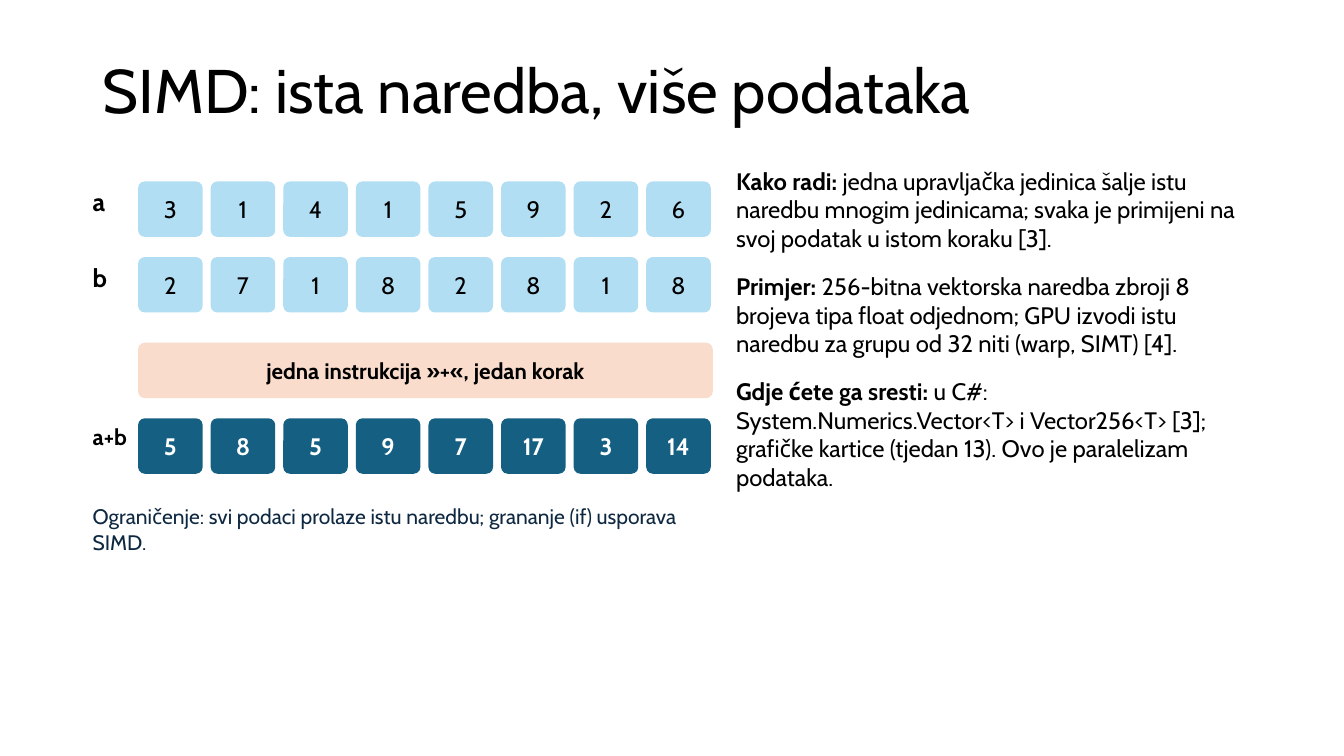
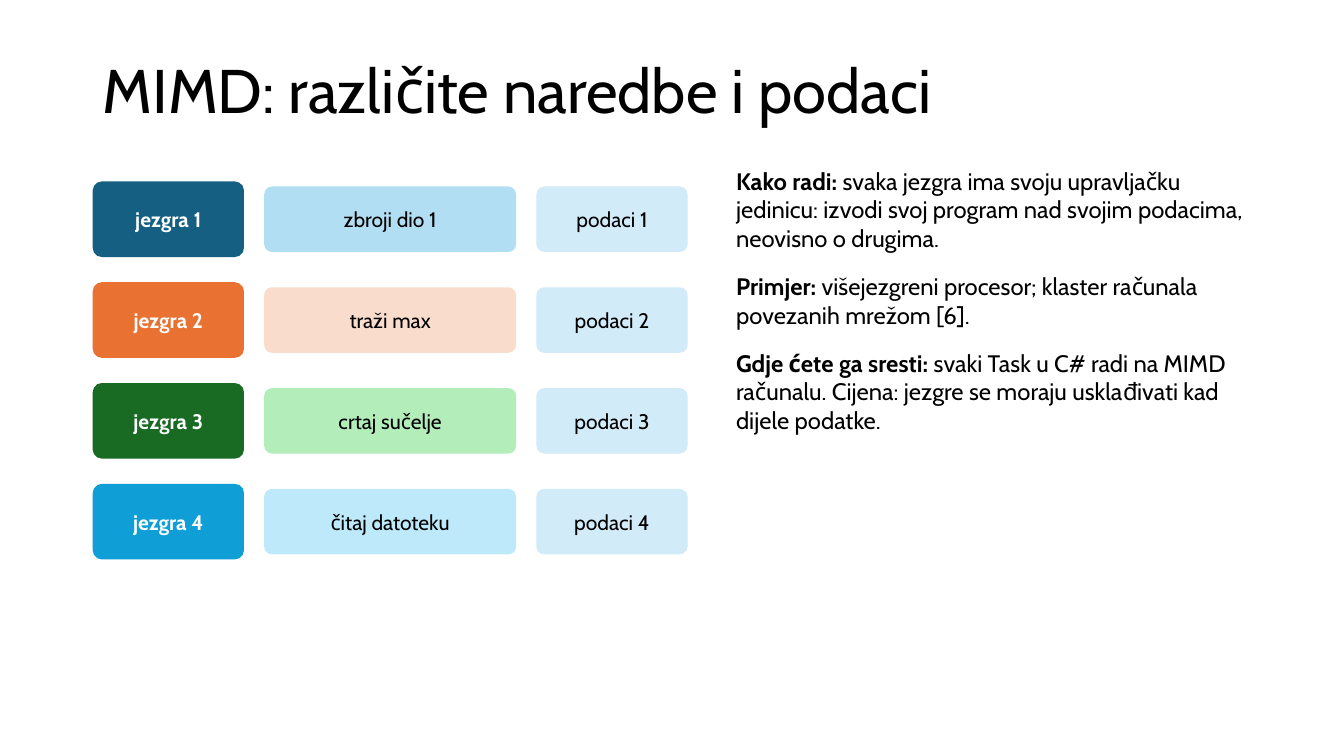
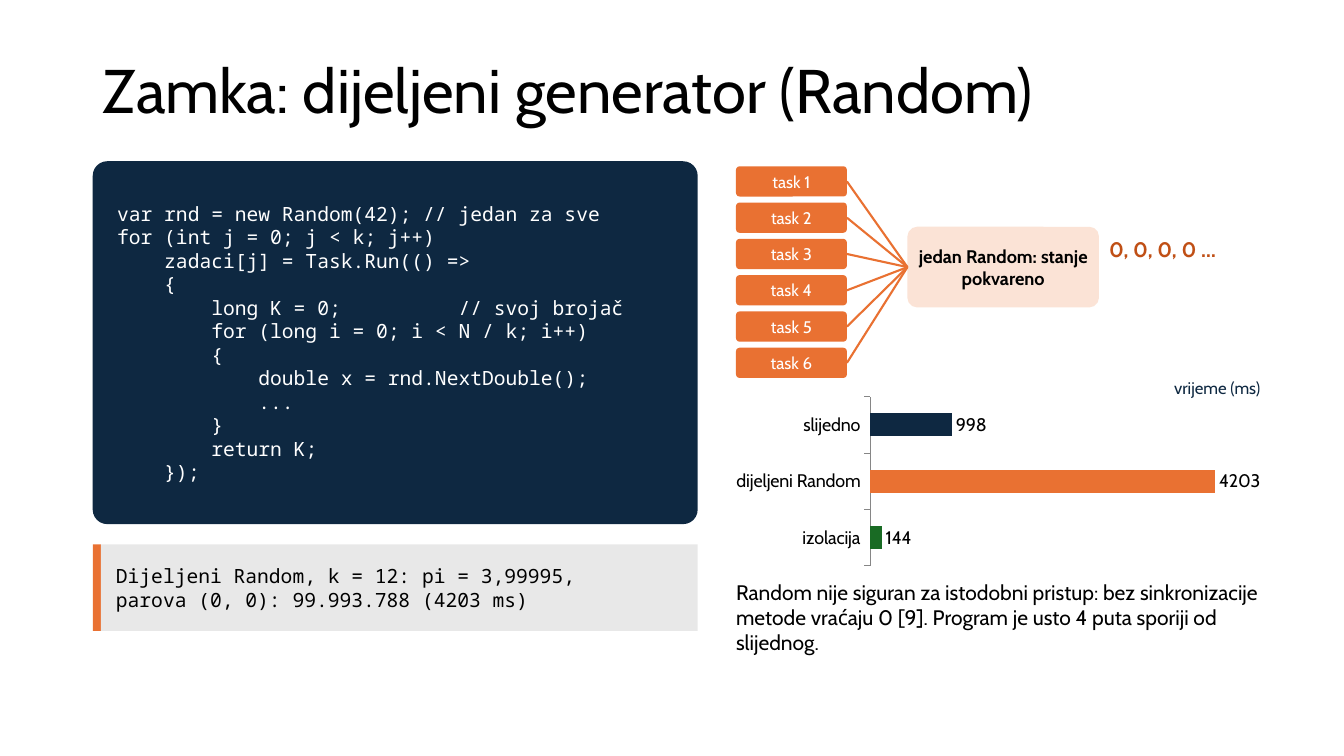
"""Build three lecture slides on SIMD, MIMD and the shared Random trap."""
from dataclasses import dataclass

from lxml import etree
from pptx import Presentation
from pptx.chart.data import CategoryChartData
from pptx.dml.color import RGBColor
from pptx.enum.chart import XL_CHART_TYPE, XL_LABEL_POSITION, XL_TICK_MARK
from pptx.enum.shapes import MSO_CONNECTOR, MSO_SHAPE
from pptx.enum.text import MSO_ANCHOR, MSO_AUTO_SIZE, PP_ALIGN
from pptx.oxml.ns import qn
from pptx.util import Inches, Pt


@dataclass(frozen=True)
class Theme:
    """Colours, fonts and type sizes shared by the slides."""
    text: str = "Cabin"
    mono: str = "Noto Sans Mono"
    black: str = "000000"
    white: str = "FFFFFF"
    navy: str = "0E2841"
    teal: str = "156082"
    orange: str = "E97132"
    rust: str = "C04F15"
    green: str = "196B24"
    blue: str = "0F9ED5"
    pale_teal: str = "B2DEF3"
    pale_orange: str = "F9DCCC"
    pale_green: str = "B2EDBA"
    pale_blue: str = "BDE9FA"
    ice: str = "D1EBF8"
    peach: str = "FBE3D6"
    grey: str = "E8E8E8"
    axis: str = "868686"
    title: int = 44
    label: int = 18
    body: int = 17
    strong: int = 16
    note: int = 15
    code: int = 14
    small: int = 13
    tiny: int = 12


T = Theme()
SLIDE_SIZE = (13.33, 7.5)
LEFT, RIGHT, COLUMN = 0.92, 7.3, 5.2
TITLE_AT = (LEFT, 0.4, 11.5, 1.06)
BODY_AT = (RIGHT, 1.65, COLUMN, 5)
CLOSING_AT = (RIGHT, 5.75, COLUMN, 1.1)
TIGHT = (0.05, 0.02, 0.05, 0.02)
NO_INSET = (0, 0, 0, 0)

SIMD = {
    "title": "SIMD: ista naredba, više podataka",
    "a": [3, 1, 4, 1, 5, 9, 2, 6],
    "b": [2, 7, 1, 8, 2, 8, 1, 8],
    "step": "jedna instrukcija »+«, jedan korak",
    "limit": "Ograničenje: svi podaci prolaze istu naredbu; grananje (if) usporava SIMD.",
    "body": [
        ("Kako radi: ", "jedna upravljačka jedinica šalje istu naredbu mnogim jedinicama; "
         "svaka je primijeni na svoj podatak u istom koraku [3]."),
        ("Primjer: ", "256-bitna vektorska naredba zbroji 8 brojeva tipa float odjednom; "
         "GPU izvodi istu naredbu za grupu od 32 niti (warp, SIMT) [4]."),
        ("Gdje ćete ga sresti: ", "u C#: System.Numerics.Vector<T> i Vector256<T> [3]; "
         "grafičke kartice (tjedan 13). Ovo je paralelizam podataka."),
    ],
}
MIMD = {
    "title": "MIMD: različite naredbe i podaci",
    "cores": [
        ("zbroji dio 1", T.teal, T.pale_teal),
        ("traži max", T.orange, T.pale_orange),
        ("crtaj sučelje", T.green, T.pale_green),
        ("čitaj datoteku", T.blue, T.pale_blue),
    ],
    "body": [
        ("Kako radi: ", "svaka jezgra ima svoju upravljačku jedinicu: izvodi svoj program "
         "nad svojim podacima, neovisno o drugima."),
        ("Primjer: ", "višejezgreni procesor; klaster računala povezanih mrežom [6]."),
        ("Gdje ćete ga sresti: ", "svaki Task u C# radi na MIMD računalu. Cijena: jezgre se "
         "moraju usklađivati kad dijele podatke."),
    ],
}
TRAP = {
    "title": "Zamka: dijeljeni generator (Random)",
    "code": """var rnd = new Random(42); // jedan za sve
for (int j = 0; j < k; j++)
    zadaci[j] = Task.Run(() =>
    {
        long K = 0;          // svoj brojač
        for (long i = 0; i < N / k; i++)
        {
            double x = rnd.NextDouble();
            ...
        }
        return K;
    });""",
    "output": "Dijeljeni Random, k = 12: pi = 3,99995,\nparova (0, 0): 99.993.788 (4203 ms)",
    "tasks": 6,
    "state": "jedan Random: stanje pokvareno",
    "zeros": "0, 0, 0, 0 …",
    "unit": "vrijeme (ms)",
    "times": [("slijedno", 998, T.navy), ("dijeljeni Random", 4203, T.orange),
              ("izolacija", 144, T.green)],
    "body": [("", "Random nije siguran za istodobni pristup: bez sinkronizacije metode "
              "vraćaju 0 [9]. Program je usto 4 puta sporiji od slijednog.")],
}


def assign(target, values):
    """Set each named attribute of the target."""
    for name, value in values.items():
        setattr(target, name, value)


def style(font, size, color=T.black, bold=False, name=T.text):
    """Format a font."""
    assign(font, {"size": Pt(size), "bold": bold, "name": name})
    font.color.rgb = RGBColor.from_string(color)


def place(shape, at):
    """Move and size a shape, in inches."""
    assign(shape, dict(zip(("left", "top", "width", "height"), map(Inches, at))))


def set_frame(frame, insets, anchor):
    """Set wrapping, insets and anchor of a text frame."""
    assign(frame, {"word_wrap": True, "auto_size": MSO_AUTO_SIZE.NONE, "vertical_anchor": anchor})
    sides = ("margin_left", "margin_top", "margin_right", "margin_bottom")
    assign(frame, dict(zip(sides, map(Inches, insets))))


def write(frame, text, align=PP_ALIGN.LEFT, **font):
    """Write each line of text as one paragraph."""
    for number, line in enumerate(text.split("\n")):
        paragraph = frame.add_paragraph() if number else frame.paragraphs[0]
        paragraph.alignment = align
        run = paragraph.add_run()
        run.text = line
        style(run.font, **font)


def add_label(slide, text, at, align=PP_ALIGN.LEFT, **font):
    """Add plain text without insets."""
    label = slide.shapes.add_textbox(*map(Inches, at))
    set_frame(label.text_frame, NO_INSET, MSO_ANCHOR.TOP)
    write(label.text_frame, text, align, **font)


def add_box(slide, text, at, fill, radius=0.12, insets=TIGHT, align=PP_ALIGN.CENTER, **font):
    """Add a filled box, rounded unless the radius is zero."""
    kind = MSO_SHAPE.ROUNDED_RECTANGLE if radius else MSO_SHAPE.RECTANGLE
    box = slide.shapes.add_shape(kind, *map(Inches, at))
    if radius:
        box.adjustments[0] = radius
    box.shadow.inherit = False
    box.fill.solid()
    box.fill.fore_color.rgb = RGBColor.from_string(fill)
    box.line.fill.background()
    if text:
        set_frame(box.text_frame, insets, MSO_ANCHOR.MIDDLE)
        write(box.text_frame, text, align, **font)
    return box


def add_link(slide, source, target):
    """Join the right side of one box to the left side of another."""
    link = slide.shapes.add_connector(MSO_CONNECTOR.STRAIGHT, 0, 0, 0, 0)
    link.begin_connect(source, 3)
    link.end_connect(target, 1)
    link.line.width = Pt(1.5)
    link.line.color.rgb = RGBColor.from_string(T.orange)
    etree.SubElement(link._element.spPr, qn("a:effectLst"))


def start_slide(prs, content, body_at=BODY_AT):
    """Add a slide with its title and right-hand body text."""
    slide = prs.slides.add_slide(prs.slide_layouts[1])
    title, body = slide.placeholders
    place(title, TITLE_AT)
    set_frame(title.text_frame, (0.1, 0.05, 0.1, 0.05), MSO_ANCHOR.MIDDLE)
    write(title.text_frame, content["title"], size=T.title)
    title.text_frame.paragraphs[0].line_spacing = 0.9
    place(body, body_at)
    set_frame(body.text_frame, NO_INSET, MSO_ANCHOR.TOP)
    size = T.body if body_at == BODY_AT else T.note
    for number, (lead, text) in enumerate(content["body"]):
        paragraph = body.text_frame.add_paragraph() if number else body.text_frame.paragraphs[0]
        properties = paragraph._p.get_or_add_pPr()
        for key in ("marL", "indent"):
            properties.set(key, "0")
        etree.SubElement(properties, qn("a:buNone"))
        assign(paragraph, {"space_before": Pt(0), "space_after": Pt(14)})
        for part, bold in ((lead, True), (text, False)):
            if part:
                run = paragraph.add_run()
                run.text = part
                style(run.font, size, bold=bold)
    return slide


def build_simd(prs):
    """Show two vectors added in one step."""
    slide = start_slide(prs, SIMD)
    sums = [a + b for a, b in zip(SIMD["a"], SIMD["b"])]
    first, pitch, height = 1.37, 0.72, 0.55
    rows = [
        ("a", SIMD["a"], 1.8, T.label, T.pale_teal, T.black),
        ("b", SIMD["b"], 2.55, T.label, T.pale_teal, T.black),
        ("a+b", sums, 4.15, T.strong, T.teal, T.white),
    ]
    for name, values, top, size, fill, color in rows:
        add_label(slide, name, (LEFT, top + 0.05, 0.6, 0.5), size=size, bold=True)
        for column, value in enumerate(values):
            add_box(slide, str(value), (first + column * pitch, top, 0.64, height), fill,
                    size=T.body, color=color, bold=values is sums)
    add_box(slide, SIMD["step"], (first, 3.4, 5.7, height), T.pale_orange,
            size=T.strong, bold=True)
    add_label(slide, SIMD["limit"], (LEFT, 5, 6.2, 1.2), size=T.note, color=T.navy)


def build_mimd(prs):
    """Show four cores, each with its own program and data."""
    slide = start_slide(prs, MIMD)
    gap, core_width, program_width = 0.2, 1.5, 2.5
    program_left = LEFT + core_width + gap
    data_left = program_left + program_width + gap
    for row, (program, dark, pale) in enumerate(MIMD["cores"]):
        top = 1.8 + row
        add_box(slide, f"jezgra {row + 1}", (LEFT, top, core_width, 0.75), dark,
                size=T.note, color=T.white, bold=True)
        for text, left, width, fill in ((program, program_left, program_width, pale),
                                        (f"podaci {row + 1}", data_left, core_width, T.ice)):
            add_box(slide, text, (left, top + 0.05, width, 0.65), fill, size=T.note)


def add_times(slide):
    """Chart the running times."""
    data = CategoryChartData(number_format="0")
    names, values, colors = zip(*TRAP["times"])
    data.categories = names
    data.add_series("Series 1", values)
    chart = slide.shapes.add_chart(XL_CHART_TYPE.BAR_CLUSTERED,
                                   *map(Inches, (7.2, 3.9, 5.3, 1.75)), data).chart
    assign(chart, {"has_legend": False, "has_title": False})
    style(chart.font, T.label)
    assign(chart.value_axis, {"visible": False, "has_major_gridlines": False, "minimum_scale": 0})
    axis = chart.category_axis
    assign(axis, {"reverse_order": True, "major_tick_mark": XL_TICK_MARK.OUTSIDE})
    axis.format.line.color.rgb = RGBColor.from_string(T.axis)
    style(axis.tick_labels.font, T.small)
    plot = chart.plots[0]
    assign(plot, {"gap_width": 150, "vary_by_categories": False, "has_data_labels": True})
    assign(plot.data_labels, {"show_value": True, "number_format": "0",
                              "number_format_is_linked": False,
                              "position": XL_LABEL_POSITION.OUTSIDE_END})
    style(plot.data_labels.font, T.small)
    for number, color in enumerate(colors):
        fill = plot.series[0].points[number].format.fill
        fill.solid()
        fill.fore_color.rgb = RGBColor.from_string(color)


def build_trap(prs):
    """Show the faulty code, its output and its cost."""
    slide = start_slide(prs, TRAP, CLOSING_AT)
    mono = {"size": T.code, "name": T.mono, "align": PP_ALIGN.LEFT}
    width, bar, top, height = 6, 0.08, 5.4, 0.86
    add_box(slide, TRAP["code"], (LEFT, 1.6, width, 3.6), T.navy, radius=0.04,
            insets=(0.2, 0.05, 0.1, 0.05), color=T.white, **mono)
    add_box(slide, "", (LEFT, top, bar, height), T.orange, radius=0)
    add_box(slide, TRAP["output"], (LEFT + bar, top, width - bar, height), T.grey, radius=0,
            insets=(0.15, 0.05, 0.1, 0.05), **mono)
    state = add_box(slide, TRAP["state"], (9, 2.25, 1.9, 0.8), T.peach, size=T.small, bold=True)
    for row in range(TRAP["tasks"]):
        task = add_box(slide, f"task {row + 1}", (RIGHT, 1.65 + row * 0.36, 1.1, 0.3), T.orange,
                       size=T.tiny, color=T.white)
        add_link(slide, task, state)
    add_label(slide, TRAP["zeros"], (11, 2.35, 1.5, 0.7), size=T.note, color=T.rust, bold=True)
    add_times(slide)
    add_label(slide, TRAP["unit"], (11.3, 3.75, 1.2, 0.3), PP_ALIGN.RIGHT,
              size=T.tiny, color=T.navy)


def main():
    """Build and save the presentation."""
    prs = Presentation()
    prs.slide_width, prs.slide_height = map(Inches, SLIDE_SIZE)
    for build in (build_simd, build_mimd, build_trap):
        build(prs)
    prs.save("out.pptx")


if __name__ == "__main__":
    main()
